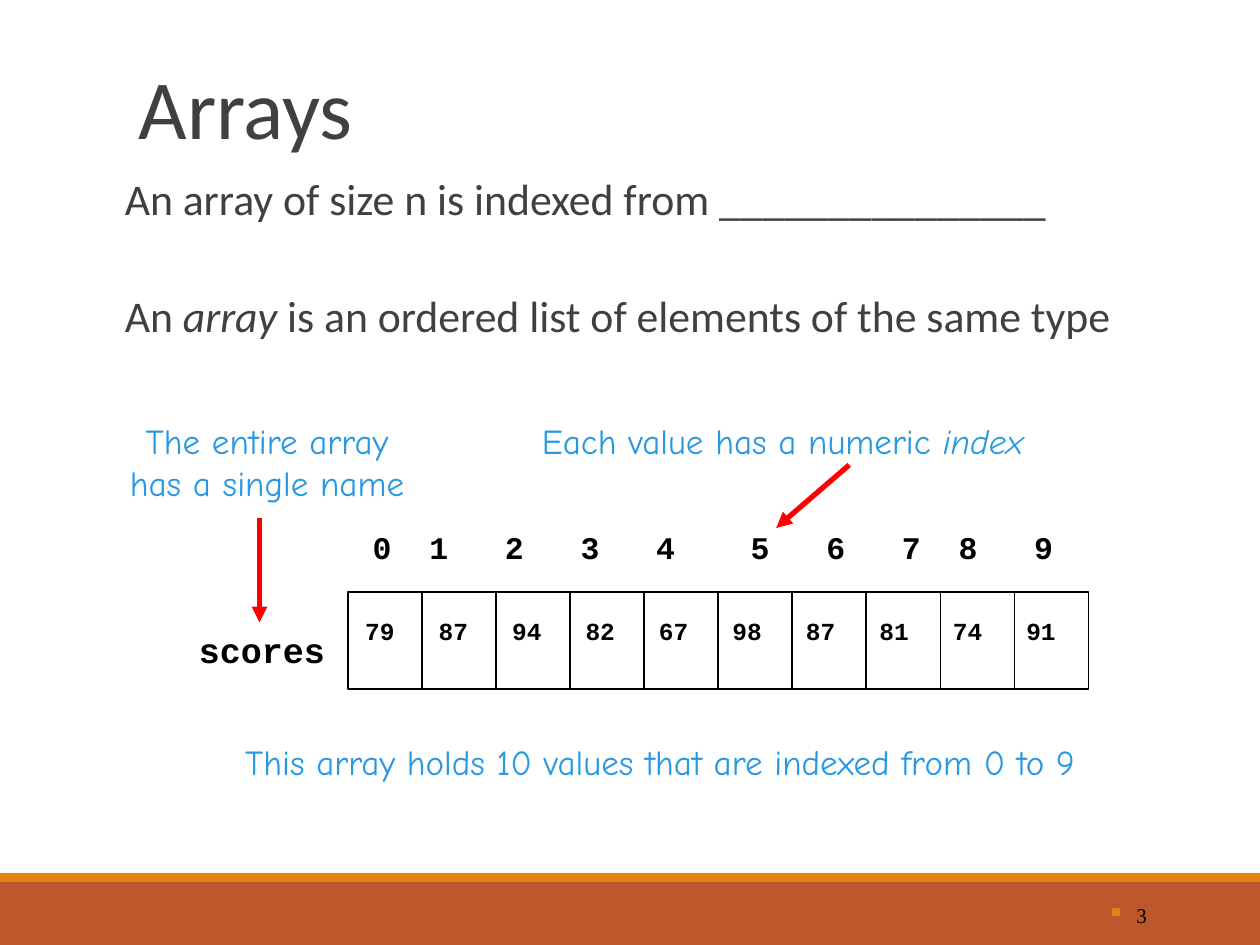
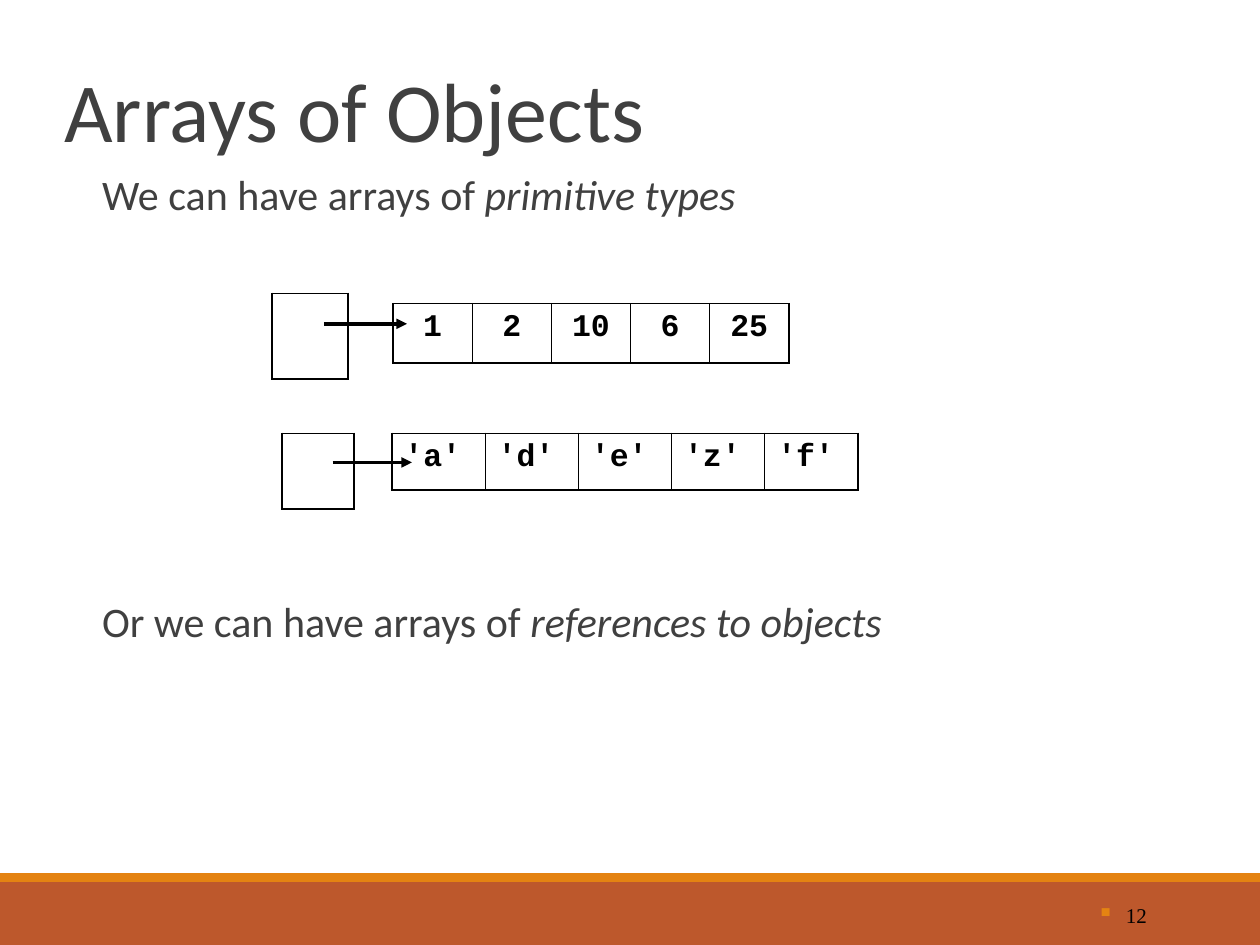
from lxml import etree
from pptx import Presentation, util as u
from pptx.dml.color import RGBColor
from pptx.enum import shapes, text
from pptx.oxml.ns import qn

prs = Presentation()
prs.slide_width, prs.slide_height = u.Inches(10), u.Inches(7.5)
COL, ROW = prs.slide_width / 10, prs.slide_height / 7.5

RUST, ORANGE, GRAY = "BD582C", "E48312", "404040"
BLACK, RED, BLUE = "000000", "FF0000", "2998E3"
BODY, CODE, NOTE, NUMBER = "Calibri", "Courier New", "Comic Neue", "Times New Roman"


def rgb(color):
    return RGBColor.from_string(color)


def grid(x, y, w, h):
    return int(x * COL), int(y * ROW), int(w * COL), int(h * ROW)


def place(sp, box):
    sp.left, sp.top, sp.width, sp.height = grid(*box)


def child(parent, tag, **attrs):
    return etree.SubElement(parent, qn(tag), {k: str(v) for k, v in attrs.items()})


def write(p, words, size, color, font, bold=False):
    """Words between asterisks are set in italics."""
    parts = words.split("*")
    p.text = parts[0]
    for part in parts[1:]:
        p.add_run().text = part
    for i, r in enumerate(p.runs):
        r.font.name, r.font.size, r.font.bold = font, u.Pt(size), bold
        r.font.italic = i % 2 == 1
        r.font.color.rgb = rgb(color)


def label(s, box, lines, size, color, font, bold=False,
          align=text.PP_ALIGN.LEFT, wrap=False):
    sp = s.shapes.add_textbox(*grid(*box))
    tf = sp.text_frame
    tf.word_wrap = wrap
    for i, line in enumerate(lines):
        p = tf.add_paragraph() if i else tf.paragraphs[0]
        p.alignment = align
        write(p, line, size, color, font, bold)
    return sp


def note(s, box, *lines):
    label(s, box, lines, 20, BLUE, NOTE, align=text.PP_ALIGN.CENTER)


def tabbed(s, box, items, size, stops):
    sp = label(s, box, ["\t".join(items)], size, BLACK, CODE, True, wrap=True)
    tabs = child(sp.text_frame.paragraphs[0]._p.get_or_add_pPr(), "a:tabLst")
    for stop in stops[1:]:
        child(tabs, "a:tab", pos=int(stop * COL), algn="l")


def rectangle(s, box, fill=None):
    sp = s.shapes.add_shape(shapes.MSO_SHAPE.RECTANGLE, *grid(*box))
    sp.shadow.inherit = False
    if fill:
        sp.fill.solid()
        sp.fill.fore_color.rgb = rgb(fill)
        sp.line.fill.background()
    else:
        sp.fill.background()
        sp.line.color.rgb = rgb(BLACK)
        sp.line.width = u.Pt(1)
    return sp


def line(s, start, end, color, width, arrow=True):
    x1, y1, x2, y2 = grid(*start, *end)
    cx = s.shapes.add_connector(shapes.MSO_CONNECTOR.STRAIGHT, x1, y1, x2, y2)
    cx.line.color.rgb = rgb(color)
    cx.line.width = u.Pt(width)
    if arrow:
        child(cx.line._get_or_add_ln(), "a:tailEnd", type="triangle")
    child(cx._element.spPr, "a:effectLst")


def array_table(s, box, values, align=text.PP_ALIGN.LEFT):
    n = len(values)
    tbl = s.shapes.add_table(1, n, *grid(*box)).table
    tbl.first_row = tbl.horz_banding = False
    for i, value in enumerate(values):
        tbl.columns[i].width = int(box[2] * COL / n)
        cell = tbl.cell(0, i)
        p = cell.text_frame.paragraphs[0]
        p.alignment = align
        if value:
            write(p, value, 18, BLACK, CODE, True)
        pr = cell._tc.get_or_add_tcPr()
        inner = {"L": i > 0, "R": i < n - 1}
        for side in "LRTB":
            width = 0.45 if inner.get(side) else 1.08
            ln = child(pr, f"a:ln{side}", w=u.Pt(width))
            child(child(ln, "a:solidFill"), "a:srgbClr", val=BLACK)
        cell.fill.background()


def add_bands(s):
    tree = prs.slide_master.shapes._spTree
    for box, color in (((0, 7, 10, 0.5), RUST), ((0, 6.93, 10, 0.07), ORANGE)):
        tree.append(rectangle(s, box, color)._element)


def page_number(s, number):
    sp = label(s, (8.12, 7.06, 1.08, 0.4), [str(number)], 12, BLACK, NUMBER,
               align=text.PP_ALIGN.RIGHT, wrap=True)
    sp.text_frame.vertical_anchor = text.MSO_ANCHOR.MIDDLE
    pr = sp.text_frame.paragraphs[0]._p.get_or_add_pPr()
    pr.set("marL", str(int(0.2 * COL)))
    pr.set("indent", str(int(-0.2 * COL)))
    child(child(pr, "a:buClr"), "a:srgbClr", val=ORANGE)
    child(pr, "a:buSzPct", val=65000)
    child(pr, "a:buChar", char="■")


def new_slide(title, title_at, points, body_at, size, gap, number):
    s = prs.slides.add_slide(prs.slide_layouts[1])
    head, body = s.shapes.title, s.placeholders[1]
    place(head, (*title_at, 9, 1.25))
    place(body, (*body_at, 9, 5.4))
    for sp in (head, body):
        sp.text_frame.auto_size = text.MSO_AUTO_SIZE.NONE
        sp.text_frame.word_wrap = True
    head.text_frame.vertical_anchor = text.MSO_ANCHOR.MIDDLE
    p = head.text_frame.paragraphs[0]
    p.alignment = text.PP_ALIGN.LEFT
    p.line_spacing = 0.85
    write(p, title, 48, GRAY, BODY)
    tf = body.text_frame
    for i, point in enumerate(points):
        p = tf.add_paragraph() if i else tf.paragraphs[0]
        p.line_spacing = 0.9
        p.space_before, p.space_after = u.Pt(gap if i else 0), u.Pt(2)
        pr = p._p.get_or_add_pPr()
        pr.set("marL", str(int(0.3 * COL)))
        pr.set("indent", "0")
        child(pr, "a:buNone")
        write(p, point, size, GRAY, BODY)
    page_number(s, number)
    return s


def scores_array(s):
    left, top, width, height = 2.76, 4.7, 5.88, 0.77
    step = width / 10
    rectangle(s, (left, top, width, height))
    for i in range(1, 9, 2):
        rectangle(s, (left + i * step, top, step, height))
    divider = left + 9 * step
    line(s, (divider, top), (divider, top + height), BLACK, 1, arrow=False)
    scores = "79 87 94 82 67 98 87 81 74 91".split()
    tabbed(s, (2.8, 4.84, 5.7, 0.33), scores, 14, [i * 0.583 for i in range(10)])
    letters = (0, 3, 7, 11, 15, 20, 24, 28, 31, 35)
    tabbed(s, (2.86, 4.14, 5.8, 0.4), "0123456789", 18, [n * 0.15 for n in letters])
    label(s, (1.48, 4.94, 1.2, 0.43), ["scores"], 20, BLACK, CODE, True)


def main():
    s = new_slide("Arrays", (1, 0.28),
                  ["An array of size n is indexed from _______________",
                   "An *array* is an ordered list of elements of the same type"],
                  (0.59, 1.36), 25, 38, 3)
    add_bands(s)
    scores_array(s)
    note(s, (0.93, 3.28, 2.38, 0.77), "The entire array", "has a single name")
    line(s, (2.06, 4.11), (2.06, 4.94), RED, 3)
    note(s, (4.2, 3.28, 4.02, 0.44), "Each value has a numeric *index*")
    line(s, (6.74, 3.69), (6.16, 4.19), RED, 3)
    note(s, (1.83, 5.83, 6.82, 0.44),
         "This array holds 10 values that are indexed from 0 to 9")

    s = new_slide("Arrays of Objects", (0.41, 0.3),
                  ["We can have arrays of *primitive types*",
                   "Or we can have arrays of *references to objects*"],
                  (0.41, 1.33), 24, 216, 12)
    array_table(s, (3.12, 2.41, 3.14, 0.47), ["1", "2", "10", "6", "25"],
                text.PP_ALIGN.CENTER)
    array_table(s, (3.11, 3.44, 3.7, 0.45), [f"'{c}'" for c in "adezf"])
    array_table(s, (2.24, 3.44, 0.57, 0.6), [""])
    array_table(s, (2.16, 2.33, 0.6, 0.68), [""])
    line(s, (2.57, 2.57), (3.23, 2.57), BLACK, 2)
    line(s, (2.64, 3.67), (3.27, 3.67), BLACK, 2)

    prs.save("out.pptx")


if __name__ == "__main__":
    main()
